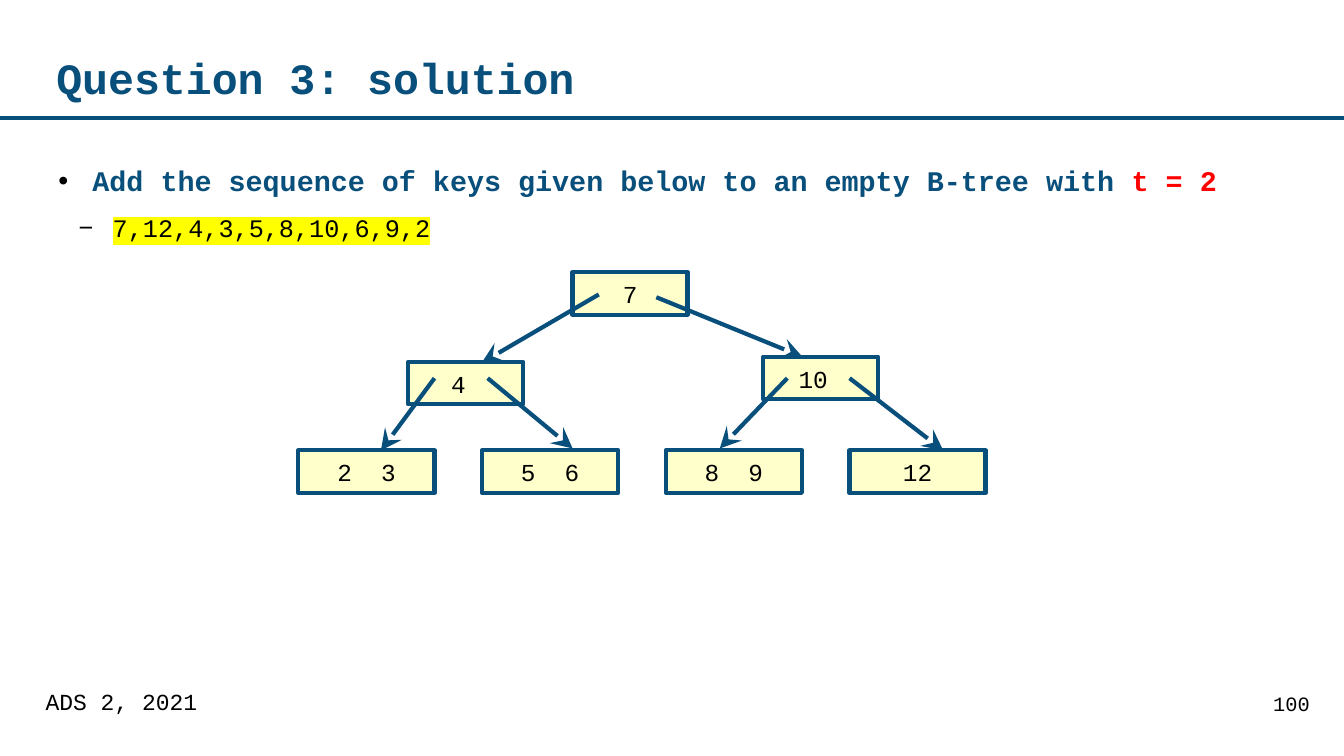
from lxml import etree
from pptx import Presentation
from pptx.dml.color import RGBColor
from pptx.enum.shapes import MSO_CONNECTOR, MSO_SHAPE
from pptx.enum.text import MSO_ANCHOR, MSO_AUTO_SIZE, PP_ALIGN
from pptx.oxml.ns import qn
from pptx.util import Cm, Pt

STRAIGHT = MSO_CONNECTOR.STRAIGHT
RECTANGLE = MSO_SHAPE.RECTANGLE
TOP, MIDDLE = MSO_ANCHOR.TOP, MSO_ANCHOR.MIDDLE
LEFT, CENTER, RIGHT = PP_ALIGN.LEFT, PP_ALIGN.CENTER, PP_ALIGN.RIGHT
NO_AUTOFIT = MSO_AUTO_SIZE.NONE

BLUE = RGBColor(0x09, 0x4F, 0x7B)
CREAM = RGBColor(0xFF, 0xFF, 0xCC)
BLACK = RGBColor(0, 0, 0)
RED = RGBColor(0xFF, 0, 0)
YELLOW = RGBColor(0xFF, 0xFF, 0)

FONT = "Courier New"
SLIDE_WIDTH, SLIDE_HEIGHT = 33.87, 19.05
NODE_HEIGHT, KEY_SIZE, KEY_GAP = 1.07, 17.4, 10.4
INNER_WIDTH, LEAF_WIDTH = 2.9, 3.43
LEAF_LEFT, LEAF_TOP, LEAF_PITCH = 7.52, 11.35, 4.63

INNER_NODES = [("7", 14.43, 6.86, 0.25), ("4", 10.29, 9.12, 0.62), ("10", 19.23, 8.99, 0.62)]
LEAVES = ["2 3", "5 6", "8 9", "12"]
EDGES = [
    ((15.09, 7.42), (12.14, 9.14)),
    ((16.54, 7.49), (20.22, 8.99)),
    ((10.95, 9.53), (9.6, 11.35)),
    ((12.29, 9.53), (14.43, 11.3)),
    ((19.84, 9.53), (18.14, 11.3)),
    ((21.41, 9.53), (23.77, 11.35)),
]


class TreeSlide:
    def __init__(self, presentation):
        self.slide = presentation.slides.add_slide(presentation.slide_layouts[1])

    def place(self, shape, left, top, width, height):
        shape.left, shape.top = Cm(left), Cm(top)
        shape.width, shape.height = Cm(width), Cm(height)

    def frame(self, shape, anchor, margins):
        frame = shape.text_frame
        frame.word_wrap = True
        frame.auto_size = NO_AUTOFIT
        frame.vertical_anchor = anchor
        frame.margin_left, frame.margin_top, frame.margin_right, frame.margin_bottom = map(Cm, margins)
        return frame

    def style(self, paragraph, size, color, spacing, alignment=LEFT, bold=False):
        paragraph.alignment = alignment
        paragraph.line_spacing = spacing
        font = paragraph.font
        font.name, font.size, font.bold = FONT, Pt(size), bold
        font.color.rgb = color

    def title(self, text):
        shape = self.slide.shapes.title
        self.place(shape, 1.42, 0.84, 28.9, 2.18)
        frame = self.frame(shape, MIDDLE, (0, 0, 0, 0))
        frame.text = text
        self.style(frame.paragraphs[0], 30.9, BLUE, 1.04, bold=True)

    def bullet(self, paragraph, symbol, indent):
        properties = paragraph._p.get_or_add_pPr()
        properties.set("marL", str(Cm(indent)))
        properties.set("indent", str(Cm(-0.86)))
        color = etree.SubElement(properties, qn("a:buClr"))
        etree.SubElement(color, qn("a:srgbClr"), val=str(BLACK))
        etree.SubElement(properties, qn("a:buChar"), char=symbol)

    def task(self, instruction, parameter, keys):
        shape = self.slide.placeholders[1]
        self.place(shape, 1.42, 3.95, 31.04, 13)
        frame = self.frame(shape, TOP, (0, 0, 0, 0))
        first = frame.paragraphs[0]
        first.add_run().text = instruction
        emphasis = first.add_run()
        emphasis.text = parameter
        emphasis.font.color.rgb = RED
        self.bullet(first, "•", 0.91)
        self.style(first, 20.3, BLUE, 1.2, bold=True)
        first.space_before = Pt(0)

        second = frame.add_paragraph()
        second.level = 1
        sequence = second.add_run()
        sequence.text = keys
        highlight = etree.SubElement(sequence._r.get_or_add_rPr(), qn("a:highlight"))
        etree.SubElement(highlight, qn("a:srgbClr"), val=str(YELLOW))
        self.bullet(second, "−", 1.42)
        self.style(second, 18, BLACK, 1.2)
        second.space_before = Pt(6.2)

    def label(self, text, left, width, size, spacing, alignment):
        shape = self.slide.shapes.add_textbox(Cm(left), Cm(17.32), Cm(width), Cm(1.32))
        frame = self.frame(shape, TOP, (0.29, 0.14, 0.29, 0.14))
        frame.text = text
        self.style(frame.paragraphs[0], size, BLACK, spacing, alignment)

    def node(self, keys, left, top, width, right_margin=0.25):
        shape = self.slide.shapes.add_shape(RECTANGLE, Cm(left), Cm(top), Cm(width), Cm(NODE_HEIGHT))
        shape.shadow.inherit = False
        shape.fill.solid()
        shape.fill.fore_color.rgb = CREAM
        shape.line.color.rgb = BLUE
        shape.line.width = Pt(3)
        paragraph = self.frame(shape, MIDDLE, (0.25, 0.25, right_margin, 0.1)).paragraphs[0]
        first, gap, second = keys.partition(" ")
        for text in filter(None, (first, gap, second)):
            run = paragraph.add_run()
            run.text = text
            if text == gap:
                run._r.get_or_add_rPr().set("spc", str(int(KEY_GAP * 100)))
        self.style(paragraph, KEY_SIZE, BLACK, 0.82, CENTER)

    def line(self, start, end, width, arrow=False):
        connector = self.slide.shapes.add_connector(STRAIGHT, *map(Cm, start + end))
        connector.line.color.rgb = BLUE
        connector.line.width = Pt(width)
        if arrow:
            outline = connector.line._get_or_add_ln()
            etree.SubElement(outline, qn("a:tailEnd"), type="stealth", w="lg", len="lg")
        etree.SubElement(connector._element.spPr, qn("a:effectLst"))


def main():
    presentation = Presentation()
    presentation.slide_width, presentation.slide_height = Cm(SLIDE_WIDTH), Cm(SLIDE_HEIGHT)
    page = TreeSlide(presentation)
    page.line((0, 2.97), (SLIDE_WIDTH, 2.97), 2.75)
    page.title("Question 3: solution")
    page.task("Add the sequence of keys given below to an empty B-tree with ", "t = 2", "7,12,4,3,5,8,10,6,9,2")
    for keys, left, top, right_margin in INNER_NODES:
        page.node(keys, left, top, INNER_WIDTH, right_margin)
    for index, keys in enumerate(LEAVES):
        page.node(keys, LEAF_LEFT + index * LEAF_PITCH, LEAF_TOP, LEAF_WIDTH)
    for start, end in EDGES:
        page.line(start, end, 3, arrow=True)
    page.label("ADS 2, 2021", 0.86, 21.41, 16.4, 0.82, LEFT)
    page.label("100", 27.84, 5.46, 14.5, 0.96, RIGHT)
    presentation.save("out.pptx")


if __name__ == "__main__":
    main()
